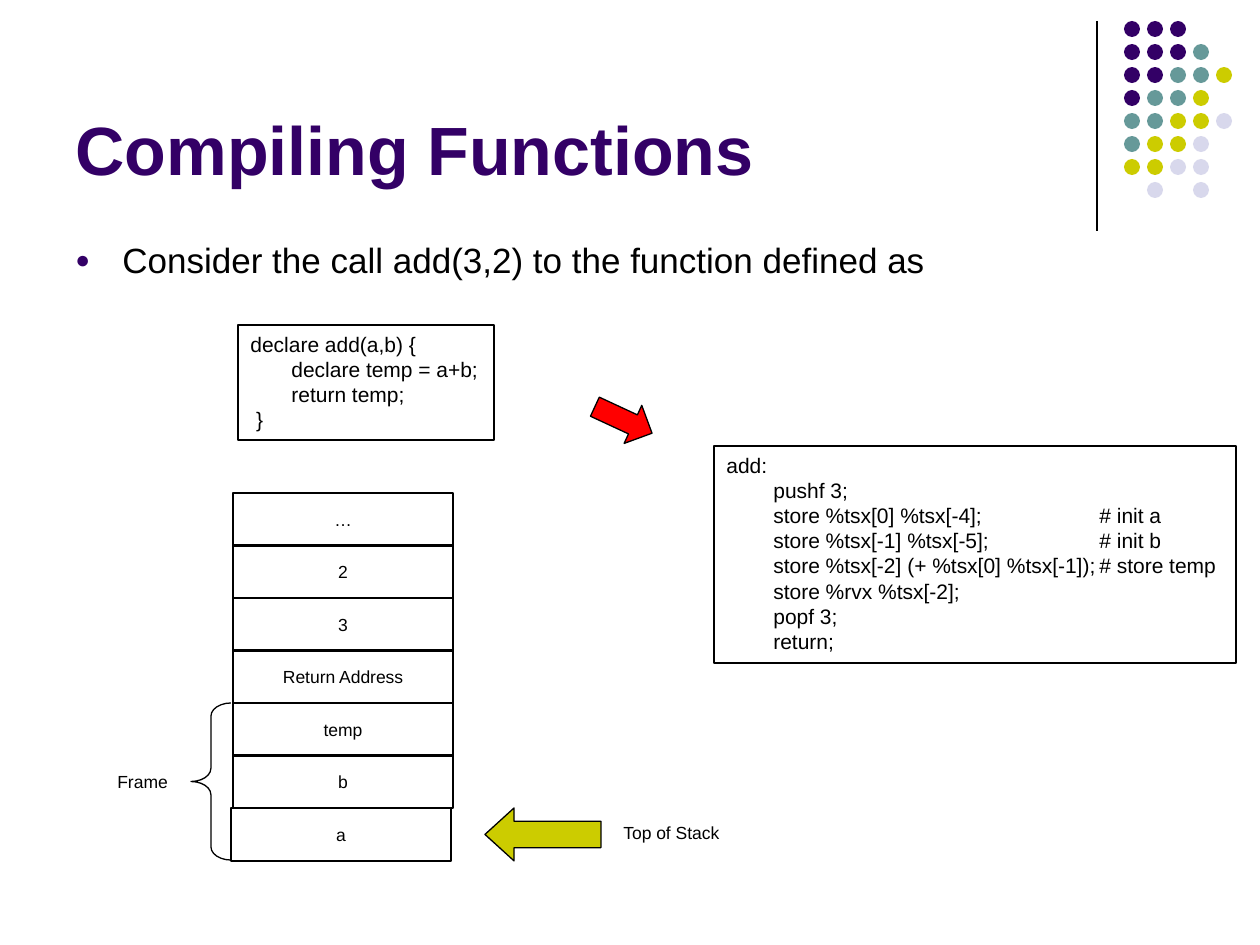
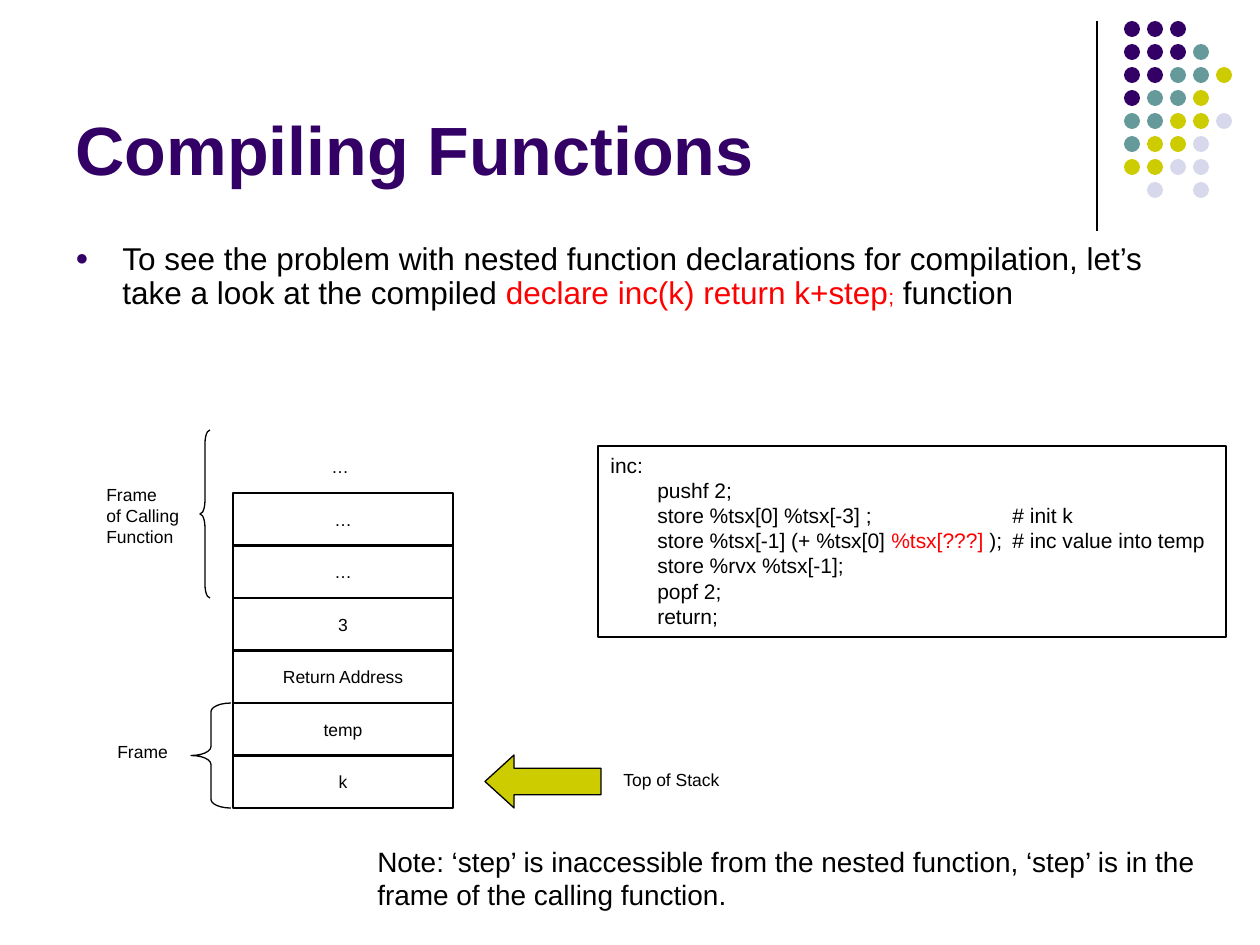
from dataclasses import dataclass
from typing import NamedTuple, Optional, Union

from lxml import etree
from pptx import Presentation
from pptx.dml.color import RGBColor
from pptx.enum.shapes import MSO_CONNECTOR as CONN, MSO_SHAPE as SHAPE
from pptx.enum.text import MSO_ANCHOR as ANCHOR, PP_ALIGN as ALIGN
from pptx.oxml.ns import qn
from pptx.util import Emu, Pt

EMU_PER_PX = 914400 / 126


@dataclass(frozen=True)
class Theme:
    font: str = "Arial"
    ink: str = "000000"
    purple: str = "330066"
    teal: str = "669999"
    olive: str = "CCCC00"
    mist: str = "D8D8EC"
    red: str = "FF0000"
    title: int = 39
    lead: int = 20
    body: int = 18
    note: int = 16
    code: int = 12
    label: int = 10
    line: float = 0.75


class Box(NamedTuple):
    x: int
    y: int
    w: int
    h: int

    def emu(self) -> list[Emu]:
        return [px(v) for v in self]


class Run(NamedTuple):
    text: str
    color: Optional[str] = None
    size: Optional[int] = None


@dataclass(frozen=True)
class Code:
    box: Box
    text: Union[str, list[Run]]
    tabs: tuple[int, ...]


@dataclass(frozen=True)
class Stack:
    cells: tuple[str, ...]
    frame_label: Box
    brace_adj: float
    last_shift: int = 0


T = Theme()
DOTS = ("PPP", "PPPT", "PPTTO", "PTTO", "TTOOM", "TOOM", "OOMM", " M M")
DOT_COLORS = {"P": T.purple, "T": T.teal, "O": T.olive, "M": T.mist}
DOT_X, DOT_Y, DOT_SIZE, DOT_PITCH = 1124, 21, 16, 23
CELL_X, CELL_W, CELL_H = 233, 220, 53
FRAME_START = 4


def px(v: float) -> Emu:
    return Emu(round(v * EMU_PER_PX))


def rgb(color: str) -> RGBColor:
    return RGBColor.from_string(color)


def row_y(row: int) -> int:
    return 493 + row * 105 // 2


def add_tabs(p, tabs: tuple[int, ...]) -> None:
    lst = etree.SubElement(p._p.get_or_add_pPr(), qn("a:tabLst"))
    for tab in tabs:
        etree.SubElement(lst, qn("a:tab"), pos=str(px(tab)), algn="l")


def add_bullet(p) -> None:
    pPr = p._p.get_or_add_pPr()
    pPr.set("marL", str(px(47)))
    pPr.set("indent", str(px(-47)))
    clr = etree.SubElement(pPr, qn("a:buClr"))
    etree.SubElement(clr, qn("a:srgbClr"), val=T.purple)
    etree.SubElement(pPr, qn("a:buSzPct"), val="70000")
    etree.SubElement(pPr, qn("a:buFont"), typeface=T.font)
    etree.SubElement(pPr, qn("a:buChar"), char="●")


def write(sp, text: Union[str, list[Run]], *, size: int = T.label, color: str = T.ink,
          bold: bool = False, align=ALIGN.LEFT, anchor=ANCHOR.TOP, wrap: bool = False,
          tabs: tuple[int, ...] = (), bullet: bool = False) -> None:
    tf = sp.text_frame
    tf.word_wrap = wrap
    tf.vertical_anchor = anchor
    runs = [Run(text)] if isinstance(text, str) else text
    p = tf.paragraphs[0]
    for run in runs:
        for i, line in enumerate(run.text.split("\n")):
            if i:
                p = tf.add_paragraph()
            r = p.add_run()
            r.text = line
            r.font.name = T.font
            r.font.size = Pt(run.size or size)
            r.font.bold = bold
            r.font.color.rgb = rgb(run.color or color)
    for p in tf.paragraphs:
        p.alignment = align
        if bullet:
            p.line_spacing = 0.9
            p.space_before = Pt(size * 0.2)
            add_bullet(p)
        if tabs:
            add_tabs(p, tabs)


def add_text(s, box: Box, text: Union[str, list[Run]], **fmt) -> None:
    write(s.shapes.add_textbox(*box.emu()), text, **fmt)


def add_shape(shapes, kind, box: Box, *, fill: Optional[str] = None,
              line: Optional[str] = T.ink, adj: tuple[float, ...] = (), rot: float = 0):
    sp = shapes.add_shape(kind, *box.emu())
    sp.shadow.inherit = False
    sp.rotation = rot
    for i, value in enumerate(adj):
        sp.adjustments[i] = value
    if fill:
        sp.fill.solid()
        sp.fill.fore_color.rgb = rgb(fill)
    else:
        sp.fill.background()
    if line:
        sp.line.color.rgb = rgb(line)
        sp.line.width = Pt(T.line)
    else:
        sp.line.fill.background()
    return sp


def add_brace(s, box: Box, adj: float) -> None:
    add_shape(s.shapes, SHAPE.LEFT_BRACE, box, adj=(adj, 0.5))


def add_base(prs, body: Union[str, list[Run]], size: int, body_h: int):
    s = prs.slides.add_slide(prs.slide_layouts[6])
    rule = s.shapes.add_connector(CONN.STRAIGHT, px(1097), px(21), px(1097), px(231))
    rule.line.color.rgb = rgb(T.ink)
    rule.line.width = Pt(T.line)
    etree.SubElement(rule._element.spPr, qn("a:effectLst"))
    dots = s.shapes.add_group_shape()
    for row, marks in enumerate(DOTS):
        for col, mark in enumerate(marks):
            if mark in DOT_COLORS:
                box = Box(DOT_X + col * DOT_PITCH, DOT_Y + row * DOT_PITCH, DOT_SIZE, DOT_SIZE)
                add_shape(dots.shapes, SHAPE.OVAL, box, fill=DOT_COLORS[mark], line=None)
    add_text(s, Box(63, 16, 1040, 179), "Compiling Functions", size=T.title,
             color=T.purple, bold=True, anchor=ANCHOR.BOTTOM, wrap=True)
    add_text(s, Box(63, 237, 1134, body_h), body, size=size, wrap=True, bullet=True)
    return s


def add_code(s, code: Code) -> None:
    sp = add_shape(s.shapes, SHAPE.RECTANGLE, code.box)
    write(sp, code.text, size=T.code, wrap=True, tabs=code.tabs)


def add_stack(s, stack: Stack) -> None:
    last = len(stack.cells) - 1
    for row, text in enumerate(stack.cells):
        x = CELL_X + (stack.last_shift if row == last else 0)
        sp = add_shape(s.shapes, SHAPE.RECTANGLE, Box(x, row_y(row), CELL_W, CELL_H))
        write(sp, text, align=ALIGN.CENTER, anchor=ANCHOR.MIDDLE)
    top = row_y(last)
    add_shape(s.shapes, SHAPE.LEFT_ARROW, Box(485, top, 116, CELL_H),
              fill=T.olive, adj=(0.5, 0.55))
    add_text(s, Box(611, top + 8, 123, 34), "Top of Stack")
    start = row_y(FRAME_START)
    add_brace(s, Box(191, start, 40, row_y(last + 1) - start), stack.brace_adj)
    add_text(s, stack.frame_label, "Frame")


def build_add(prs) -> None:
    s = add_base(prs, "Consider the call add(3,2) to the function defined as", T.lead, 68)
    add_stack(s, Stack(("…", "2", "3", "Return Address", "temp", "b", "a"),
                       Box(105, 765, 76, 34), 0.33, last_shift=-2))
    add_code(s, Code(Box(714, 446, 522, 217),
                     "add:\n\tpushf 3;\n"
                     "\tstore %tsx[0] %tsx[-4];\t# init a\n"
                     "\tstore %tsx[-1] %tsx[-5];\t# init b\n"
                     "\tstore %tsx[-2] (+ %tsx[0] %tsx[-1]);\t# store temp\n"
                     "\tstore %rvx %tsx[-2];\n\tpopf 3;\n\treturn;", (47, 373)))
    add_shape(s.shapes, SHAPE.RIGHT_ARROW, Box(592, 399, 63, 42), fill=T.red, rot=24.9)
    add_code(s, Code(Box(238, 325, 256, 115),
                     "declare add(a,b) {\n\tdeclare temp = a+b;\n\treturn temp;\n }", (41,)))


def build_inc(prs) -> None:
    s = add_base(prs, [
        Run("To see the problem with nested function declarations for compilation, "
            "let’s take a look at the compiled "),
        Run("declare inc(k) return k+step", T.red),
        Run(";", T.red, T.code),
        Run(" function"),
    ], T.body, 120)
    add_stack(s, Stack(("…", "…", "3", "Return Address", "temp", "k"),
                       Box(105, 735, 76, 34), 0.22))
    add_code(s, Code(Box(598, 446, 628, 191), [
        Run("inc:\n\tpushf 2;\n\tstore %tsx[0] %tsx[-3] ;\t# init k\n"
            "\tstore %tsx[-1] (+ %tsx[0] "),
        Run("%tsx[???]", T.red),
        Run(" );\t# inc value into temp\n"
            "\tstore %rvx %tsx[-1];\n\tpopf 2;\n\treturn;"),
    ], (47, 402)))
    add_text(s, Box(319, 450, 43, 34), "…")
    add_brace(s, Box(200, 430, 10, 168), 1.33)
    add_text(s, Box(94, 478, 98, 76), "Frame\nof Calling\nFunction")
    add_text(s, Box(365, 838, 847, 81),
             "Note: ‘step’ is inaccessible from the nested function, ‘step’ is in the\n"
             "frame of the calling function.", size=T.note)


prs = Presentation()
prs.slide_width, prs.slide_height = px(1260), px(945)
build_add(prs)
build_inc(prs)
prs.save("out.pptx")
